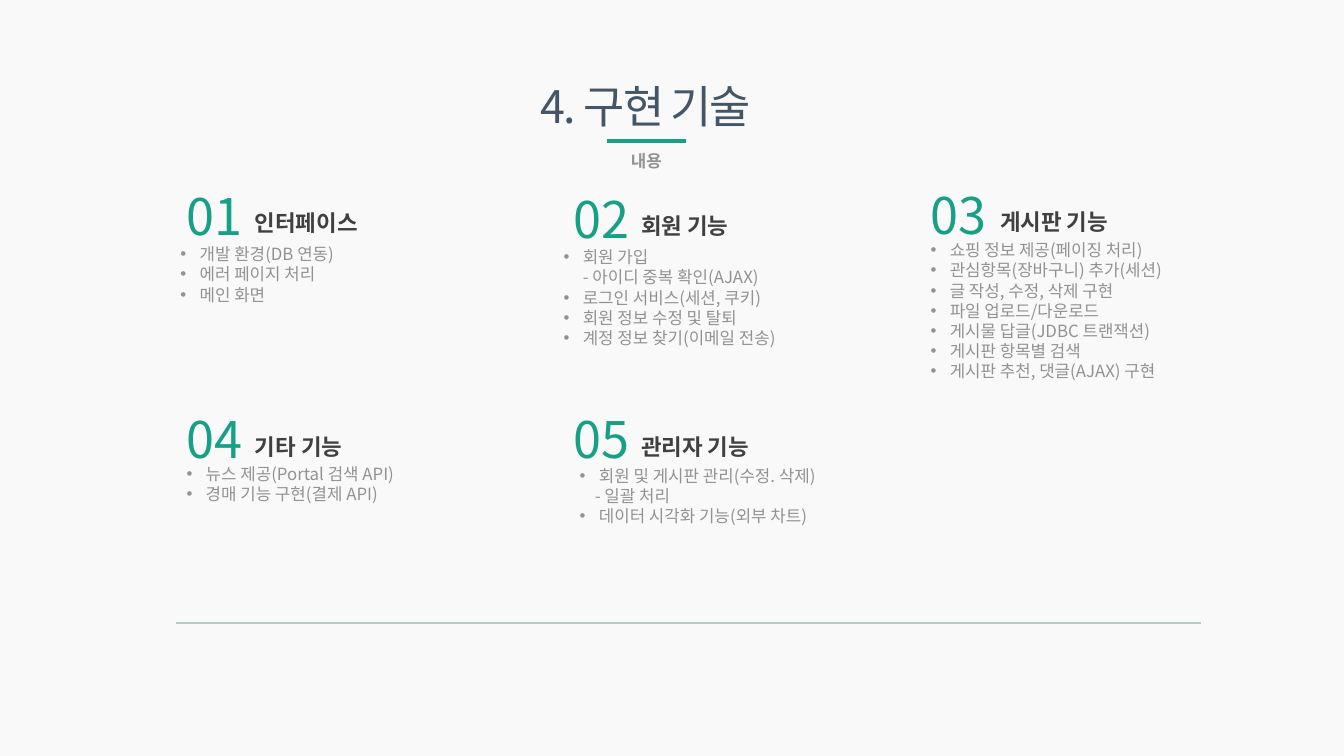
"""Build the slide that lists the implemented features in five numbered sections."""
import copy
from dataclasses import dataclass

import lxml.etree
import pptx
import pptx.dml.color
import pptx.enum.shapes
import pptx.enum.text
import pptx.oxml.ns
import pptx.util

Inches = pptx.util.Inches
Pt = pptx.util.Pt
RGBColor = pptx.dml.color.RGBColor
Align = pptx.enum.text.PP_ALIGN
qn = pptx.oxml.ns.qn

FONT = "Noto Sans CJK KR"
PAPER = RGBColor(0xF9, 0xF9, 0xF9)
SLATE = RGBColor(0x44, 0x55, 0x66)
GREEN = RGBColor(0x16, 0xA0, 0x85)
DARK = RGBColor(0x40, 0x40, 0x40)
GRAY = RGBColor(0x92, 0x92, 0x92)
SILVER = RGBColor(0xBF, 0xC7, 0xC7)
HANG = 0.19


@dataclass(frozen=True)
class Box:
    left: float
    top: float
    width: float
    height: float


@dataclass(frozen=True)
class Part:
    num: Box
    head: Box
    body: Box
    name: str
    lines: tuple[str, ...]
    inset: float = HANG


@dataclass(frozen=True)
class Rule:
    left: float
    right: float
    top: float
    color: RGBColor
    width: float


def num_box(left: float, top: float) -> Box:
    return Box(left, top, 0.89, 0.71)


def head_box(left: float, top: float) -> Box:
    return Box(left, top, 2.04, 0.37)


def list_box(left: float, top: float, height: float) -> Box:
    return Box(left, top, 2.78, height)


PARTS = (
    Part(num_box(1.75, 1.79), head_box(2.43, 2.03), list_box(1.69, 2.37, 0.91),
         "인터페이스",
         ("개발 환경(DB 연동)", "에러 페이지 처리", "메인 화면")),
    Part(num_box(5.59, 1.82), head_box(6.26, 2.06), list_box(5.49, 2.4, 1.11),
         "회원 기능",
         ("회원 가입", "- 아이디 중복 확인(AJAX)", "로그인 서비스(세션, 쿠키)",
          "회원 정보 수정 및 탈퇴", "계정 정보 찾기(이메일 전송)")),
    Part(num_box(9.13, 1.78), head_box(9.82, 2.02), list_box(9.13, 2.33, 1.51),
         "게시판 기능",
         ("쇼핑 정보 제공(페이징 처리)", "관심항목(장바구니) 추가(세션)",
          "글 작성, 수정, 삭제 구현", "파일 업로드/다운로드",
          "게시물 답글(JDBC 트랜잭션)", "게시판 항목별 검색",
          "게시판 추천, 댓글(AJAX) 구현")),
    Part(num_box(1.75, 4), head_box(2.43, 4.25), list_box(1.75, 4.55, 0.5),
         "기타 기능",
         ("뉴스 제공(Portal 검색 API)", "경매 기능 구현(결제 API)")),
    Part(num_box(5.59, 4), head_box(6.26, 4.25), list_box(5.65, 4.57, 0.91),
         "관리자 기능",
         ("회원 및 게시판 관리(수정. 삭제)", "- 일괄 처리",
          "데이터 시각화 기능(외부 차트)"), 0.15),
)
RULES = (Rule(6.02, 6.8, 1.4, GREEN, 3), Rule(1.75, 11.91, 6.18, SILVER, 1.5))


def place(shape, box: Box):
    shape.left, shape.top = Inches(box.left), Inches(box.top)
    shape.width, shape.height = Inches(box.width), Inches(box.height)
    frame = shape.text_frame
    frame.word_wrap = True
    frame.auto_size = pptx.enum.text.MSO_AUTO_SIZE.SHAPE_TO_FIT_TEXT
    frame.vertical_anchor = pptx.enum.text.MSO_ANCHOR.TOP
    return frame


def write(para, text: str, *, size: float, color: RGBColor, bold: bool = False,
          align=Align.LEFT, track: int = 0) -> None:
    para.alignment = align
    para.space_before = Pt(0)
    run = para.add_run()
    run.text = text
    font = run.font
    font.size, font.bold, font.name = Pt(size), bold, FONT
    font.color.rgb = color
    props = run._r.get_or_add_rPr()
    lxml.etree.SubElement(props, qn("a:ea")).set("typeface", FONT)
    if track:
        props.set("spc", str(track))


def label(slide, box: Box, text: str, **style) -> None:
    shape = slide.shapes.add_textbox(0, 0, 0, 0)
    write(place(shape, box).paragraphs[0], text, **style)


def fill_list(shape, part: Part) -> None:
    frame = place(shape, part.body)
    for row, line in enumerate(part.lines):
        para = frame.add_paragraph() if row else frame.paragraphs[0]
        props = para._p.get_or_add_pPr()
        sub = line.startswith("-")
        props.set("marL", str(Inches(part.inset if sub else HANG)))
        props.set("indent", str(0 if sub else -Inches(HANG)))
        if sub:
            lxml.etree.SubElement(props, qn("a:buNone"))
        else:
            lxml.etree.SubElement(props, qn("a:buFont")).set("typeface", "Arial")
            lxml.etree.SubElement(props, qn("a:buChar")).set("char", "•")
        write(para, line, size=12, color=GRAY)


def draw_rule(slide, rule: Rule) -> None:
    line = slide.shapes.add_connector(
        pptx.enum.shapes.MSO_CONNECTOR.STRAIGHT, Inches(rule.left),
        Inches(rule.top), Inches(rule.right), Inches(rule.top))
    line.line.color.rgb = rule.color
    line.line.width = Pt(rule.width)
    lxml.etree.SubElement(line._element.spPr, qn("a:effectLst"))


def extend(layout, count: int) -> None:
    body = layout.placeholders[1]._element
    for step in range(1, count):
        twin = copy.deepcopy(body)
        twin.xpath(".//p:cNvPr")[0].set("id", str(20 + step))
        twin.xpath(".//p:ph")[0].set("idx", str(20 + step))
        body.getparent().append(twin)


def main() -> None:
    deck = pptx.Presentation()
    deck.slide_width, deck.slide_height = Inches(13.33), Inches(7.5)
    layout = deck.slide_layouts[1]
    extend(layout, len(PARTS))
    slide = deck.slides.add_slide(layout)
    slide.background.fill.solid()
    slide.background.fill.fore_color.rgb = PAPER

    title, *lists = list(slide.placeholders)
    frame = place(title, Box(4.43, 0.73, 3.95, 0.64))
    write(frame.paragraphs[0], "4. 구현 기술", size=32, color=SLATE,
          align=Align.CENTER, track=-150)
    label(slide, Box(4.67, 1.45, 3.48, 0.3), "내용", size=12, color=GRAY,
          bold=True, align=Align.CENTER)
    for rank, (part, shape) in enumerate(zip(PARTS, lists), 1):
        label(slide, part.head, part.name, size=16, color=DARK, bold=True)
        fill_list(shape, part)
        label(slide, part.num, f"{rank:02}", size=36, color=GREEN)
    for rule in RULES:
        draw_rule(slide, rule)
    deck.save("out.pptx")


if __name__ == "__main__":
    main()
